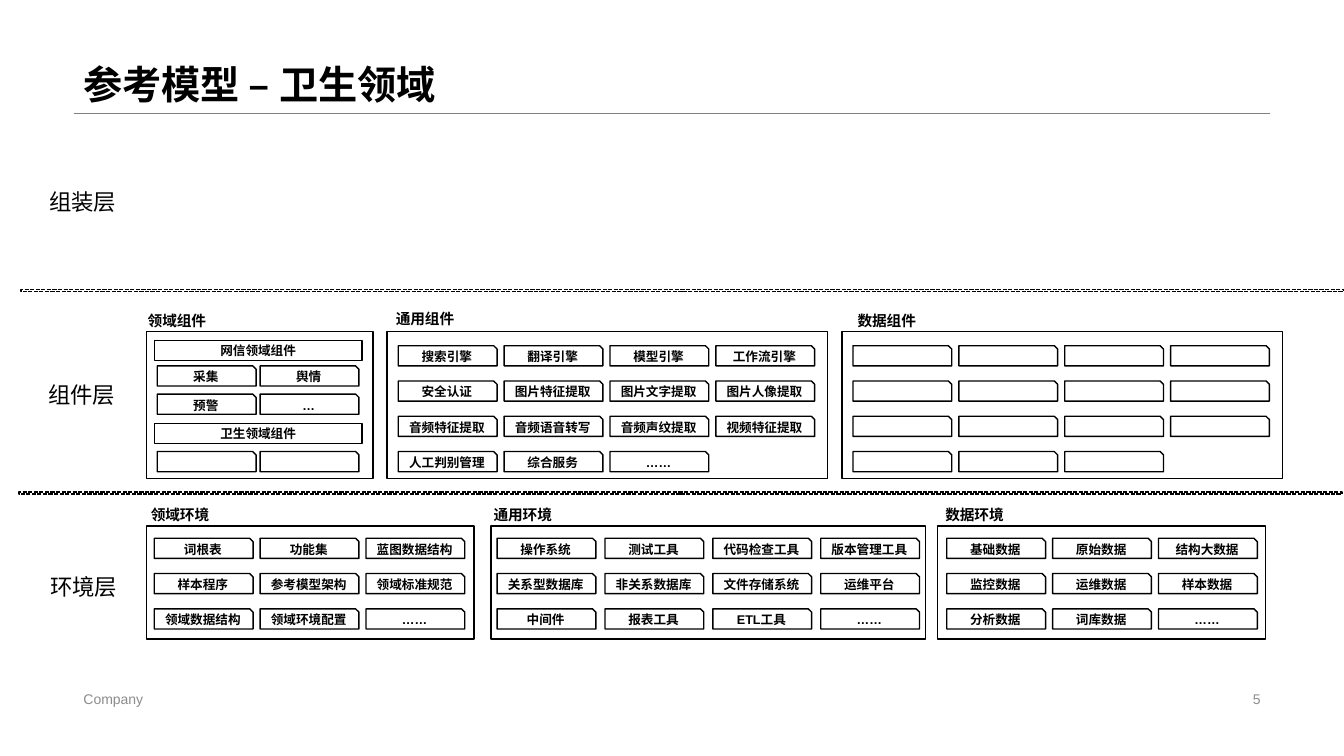
from dataclasses import dataclass

from pptx import Presentation
from pptx.dml.color import RGBColor as Rgb
from pptx.enum.dml import MSO_LINE
from pptx.enum.shapes import MSO_CONNECTOR, MSO_SHAPE
from pptx.enum.text import MSO_ANCHOR as Anchor, PP_ALIGN as Align
from pptx.oxml.ns import qn
from pptx.util import Inches, Pt
from lxml.etree import SubElement


@dataclass(frozen=True)
class Theme:
    font: str = "Arial"
    ink: Rgb = Rgb(0, 0, 0)
    paper: Rgb = Rgb(255, 255, 255)
    rule: Rgb = Rgb(0x80, 0x80, 0x80)
    muted: Rgb = Rgb(0x8C, 0x8C, 0x8C)
    title: float = 28
    layer: float = 16
    head: float = 10.5
    chip: float = 9
    foot: float = 10


THEME = Theme()
CHIP_W, CHIP_H = 0.98, 0.2
ROW_STEP = 0.35

LAYERS = [("组装层", 0.39, 1.6), ("组件层", 0.38, 3.52), ("环境层", 0.4, 5.42)]

# heading, its left and top, panel left and width, first chip left, step, rows
PARTS = [
    ("数据组件", 8.4, 3.04, 8.35, 4.37, 8.46, 1.05,
     [[""] * 4, [""] * 4, [""] * 4, [""] * 3]),
    ("通用组件", 3.82, 3.02, 3.84, 4.37, 3.95, 1.05, [
        ["搜索引擎", "翻译引擎", "模型引擎", "工作流引擎"],
        ["安全认证", "图片特征提取", "图片文字提取", "图片人像提取"],
        ["音频特征提取", "音频语音转写", "音频声纹提取", "视频特征提取"],
        ["人工判别管理", "综合服务", "……"]]),
]
SETUPS = [
    ("领域环境", 1.39, 4.97, 1.45, 3.25, 1.53, 1.05, [
        ["词根表", "功能集", "蓝图数据结构"],
        ["样本程序", "参考模型架构", "领域标准规范"],
        ["领域数据结构", "领域环境配置", "……"]]),
    ("通用环境", 4.79, 4.97, 4.87, 4.31, 4.93, 1.07, [
        ["操作系统", "测试工具", "代码检查工具", "版本管理工具"],
        ["关系型数据库", "非关系数据库", "文件存储系统", "运维平台"],
        ["中间件", "报表工具", "ETL工具", "……"]]),
    ("数据环境", 9.27, 4.97, 9.3, 3.25, 9.39, 1.05, [
        ["基础数据", "原始数据", "结构大数据"],
        ["监控数据", "运维数据", "样本数据"],
        ["分析数据", "词库数据", "……"]]),
]
DOMAIN_BARS = [("网信领域组件", 3.38), ("卫生领域组件", 4.2)]
DOMAIN_ROWS = [(3.63, ["采集", "舆情"]), (3.91, ["预警", "…"]), (4.48, ["", ""])]


def write(frame, text, size, color=THEME.ink, bold=False, align=Align.LEFT):
    para = frame.paragraphs[0]
    para.alignment = align
    run = para.add_run()
    run.text = text
    font = run.font
    font.name, font.size, font.bold = THEME.font, Pt(size), bold
    font.color.rgb = color
    return para


def label(slide, text, box, size, anchor=Anchor.MIDDLE, wrap=True, **style):
    frame = slide.shapes.add_textbox(*map(Inches, box)).text_frame
    frame.word_wrap = wrap
    frame.vertical_anchor = anchor
    return write(frame, text, size, **style)


def block(slide, box, kind=MSO_SHAPE.RECTANGLE, text=""):
    """Draw a white outlined shape, with centred bold text if there is any."""
    shape = slide.shapes.add_shape(kind, *map(Inches, box))
    shape.shadow.inherit = False
    shape.fill.solid()
    shape.fill.fore_color.rgb = THEME.paper
    shape.line.color.rgb = THEME.ink
    shape.line.width = Pt(1)
    if text:
        frame = shape.text_frame
        frame.margin_left = frame.margin_right = 0
        frame.margin_top = frame.margin_bottom = 0
        frame.vertical_anchor = Anchor.MIDDLE
        write(frame, text, THEME.chip, bold=True, align=Align.CENTER)
    return shape


def chips(slide, left, top, step, names):
    for col, name in enumerate(names):
        box = (left + col * step, top, CHIP_W, CHIP_H)
        block(slide, box, MSO_SHAPE.SNIP_1_RECTANGLE, name)


def heading(slide, text, left, top):
    label(slide, text, (left, top, 0.79, 0.28), THEME.head, Anchor.TOP,
          wrap=False, bold=True, align=Align.CENTER)


def panel(slide, group, top, height, first):
    name, head_x, head_y, left, width, chip_x, step, rows = group
    block(slide, (left, top, width, height))
    heading(slide, name, head_x, head_y)
    for row, names in enumerate(rows):
        chips(slide, chip_x, first + row * ROW_STEP, step, names)


def domain(slide):
    block(slide, (1.45, 3.29, 2.25, 1.46))
    heading(slide, "领域组件", 1.36, 3.04)
    for top, names in DOMAIN_ROWS:
        chips(slide, 1.56, top, 1.02, names)
    for name, top in DOMAIN_BARS:
        block(slide, (1.53, top, 2.06, CHIP_H), text=name)


def divider(slide, left, top):
    bar = block(slide, (left, top, 13.12, 0.02))
    bar.line.dash_style = MSO_LINE.SQUARE_DOT


def rule(slide):
    ends = map(Inches, (0.73, 1.12, 12.6, 1.12))
    line = slide.shapes.add_connector(MSO_CONNECTOR.STRAIGHT, *ends)
    line.line.color.rgb = THEME.rule
    line.line.width = Pt(0.25)
    SubElement(line.element.spPr, qn("a:effectLst"))


def main():
    deck = Presentation()
    deck.slide_width, deck.slide_height = Inches(13.33), Inches(7.5)
    slide = deck.slides.add_slide(deck.slide_layouts[6])

    rule(slide)
    title = label(slide, "参考模型 – 卫生领域", (0.73, 0, 11.87, 1.12),
                  THEME.title, Anchor.BOTTOM, bold=True)
    title.line_spacing = 0.9
    for name, left, top in LAYERS:
        label(slide, name, (left, top, 1.02, 0.79), THEME.layer)

    domain(slide)
    for group in PARTS:
        panel(slide, group, 3.29, 1.46, 3.43)
    for group in SETUPS:
        panel(slide, group, 5.22, 1.12, 5.34)
    divider(slide, 0.21, 2.87)
    divider(slide, 0.19, 4.88)

    label(slide, "Company", (0.73, 6.82, 4.53, 0.23), THEME.foot,
          color=THEME.muted)
    label(slide, "5", (9.42, 6.82, 3.18, 0.23), THEME.foot,
          color=THEME.muted, align=Align.RIGHT)
    deck.save("out.pptx")


if __name__ == "__main__":
    main()
